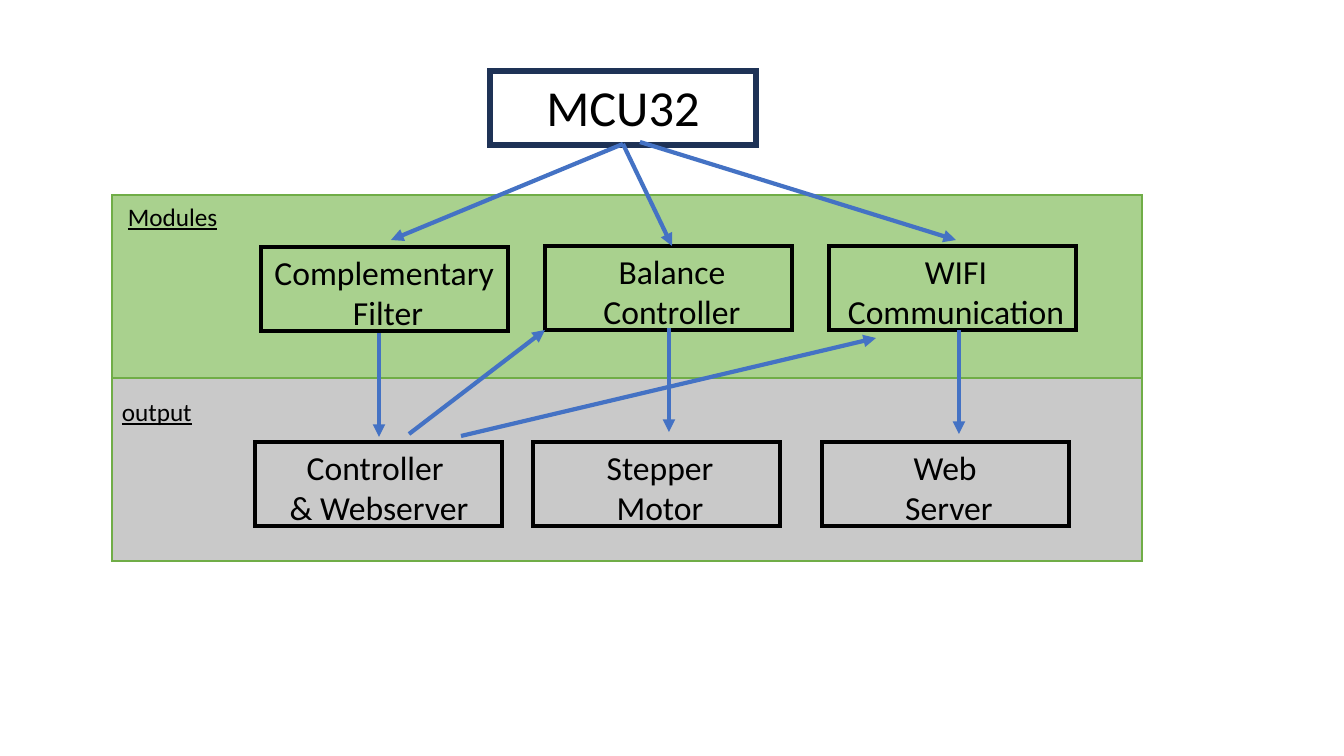
import pptx
import pptx.util
import pptx.dml.color
import pptx.enum.shapes
import pptx.enum.text
import pptx.oxml.ns
import lxml.etree

PX = 9525 * 96 / 100.8  # EMU per pixel


def color(hex_):
    return pptx.dml.color.RGBColor.from_string(hex_)


def emu(*pixels):
    return [pptx.util.Emu(round(v * PX)) for v in pixels]


prs = pptx.Presentation()
prs.slide_width, prs.slide_height = emu(1344, 756)
s = prs.slides.add_slide(prs.slide_layouts[6])
shapes = s.shapes

# Module and output boxes: left, top, lines, text offset
BOX_W, BOX_H = 247, 84
MODULE_Y, OUTPUT_Y = 246, 442
boxes = [
    (261, MODULE_Y + 1, ["Complementary ", "Filter"], 0),
    (545, MODULE_Y, ["Balance", "Controller"], 0),
    (829, MODULE_Y, ["WIFI", "Communication"], 0),
    (255, OUTPUT_Y, ["Controller ", "& Webserver"], -3),
    (533, OUTPUT_Y, ["Stepper", "Motor"], 0),
    (822, OUTPUT_Y, ["Web ", "Server"], 0),
]

# Panels and outlines: left, top, width, height, fill, line, line width
rects = [
    (112, 378, 1030, 183, "C9C9C9", "70AD47", 1),
    (112, 195, 1030, 183, "A9D18E", "70AD47", 1),
    (490, 71, 266, 74, None, "1E3256", 4),
]
rects += [(x, y, BOX_W, BOX_H, None, "000000", 3.25) for x, y, _, _ in boxes]
for x, y, w, h, fill, line, weight in rects:
    sp = shapes.add_shape(pptx.enum.shapes.MSO_SHAPE.RECTANGLE, *emu(x, y, w, h))
    sp.shadow.inherit = False
    if fill:
        sp.fill.solid()
        sp.fill.fore_color.rgb = color(fill)
    else:
        sp.fill.background()
    sp.line.color.rgb = color(line)
    sp.line.width = pptx.util.Pt(weight)
    ln = sp.line._get_or_add_ln()
    lxml.etree.SubElement(ln, pptx.oxml.ns.qn("a:miter"), lim="800000")

# Labels: left, top, width, height, lines, size, heading
labels = [
    (490, 71, 266, 74, ["MCU32"], 36, False),
    (118, 196, 168, 40, ["Modules"], 18, True),
    (112, 391, 168, 40, ["output"], 18, True),
]
labels += [(x + dx, y, 254, 92, lines, 24, False) for x, y, lines, dx in boxes]
for x, y, w, h, lines, size, heading in labels:
    tf = shapes.add_textbox(*emu(x, y, w, h)).text_frame
    tf.word_wrap = True
    for i, text in enumerate(lines):
        p = tf.add_paragraph() if i else tf.paragraphs[0]
        if not heading:
            p.alignment = pptx.enum.text.PP_ALIGN.CENTER
        r = p.add_run()
        r.text = text
        r.font.name = "Calibri"
        r.font.size = pptx.util.Pt(size)
        r.font.color.rgb = color("000000")
        if heading:
            r.font.underline = True

# Arrows: from x, y to x, y
arrows = [
    (623, 144, 672, 246),
    (623, 144, 391, 240),
    (640, 142, 956, 240),
    (669, 328, 669, 432),
    (959, 330, 959, 434),
    (379, 333, 379, 437),
    (409, 434, 545, 330),
    (461, 436, 876, 338),
]
for ends in arrows:
    c = shapes.add_connector(pptx.enum.shapes.MSO_CONNECTOR.STRAIGHT, *emu(*ends))
    c.line.color.rgb = color("4472C4")
    c.line.width = pptx.util.Pt(3)
    ln = c.line._get_or_add_ln()
    lxml.etree.SubElement(ln, pptx.oxml.ns.qn("a:tailEnd"), type="triangle")
    lxml.etree.SubElement(c._element.spPr, pptx.oxml.ns.qn("a:effectLst"))

prs.save("out.pptx")
